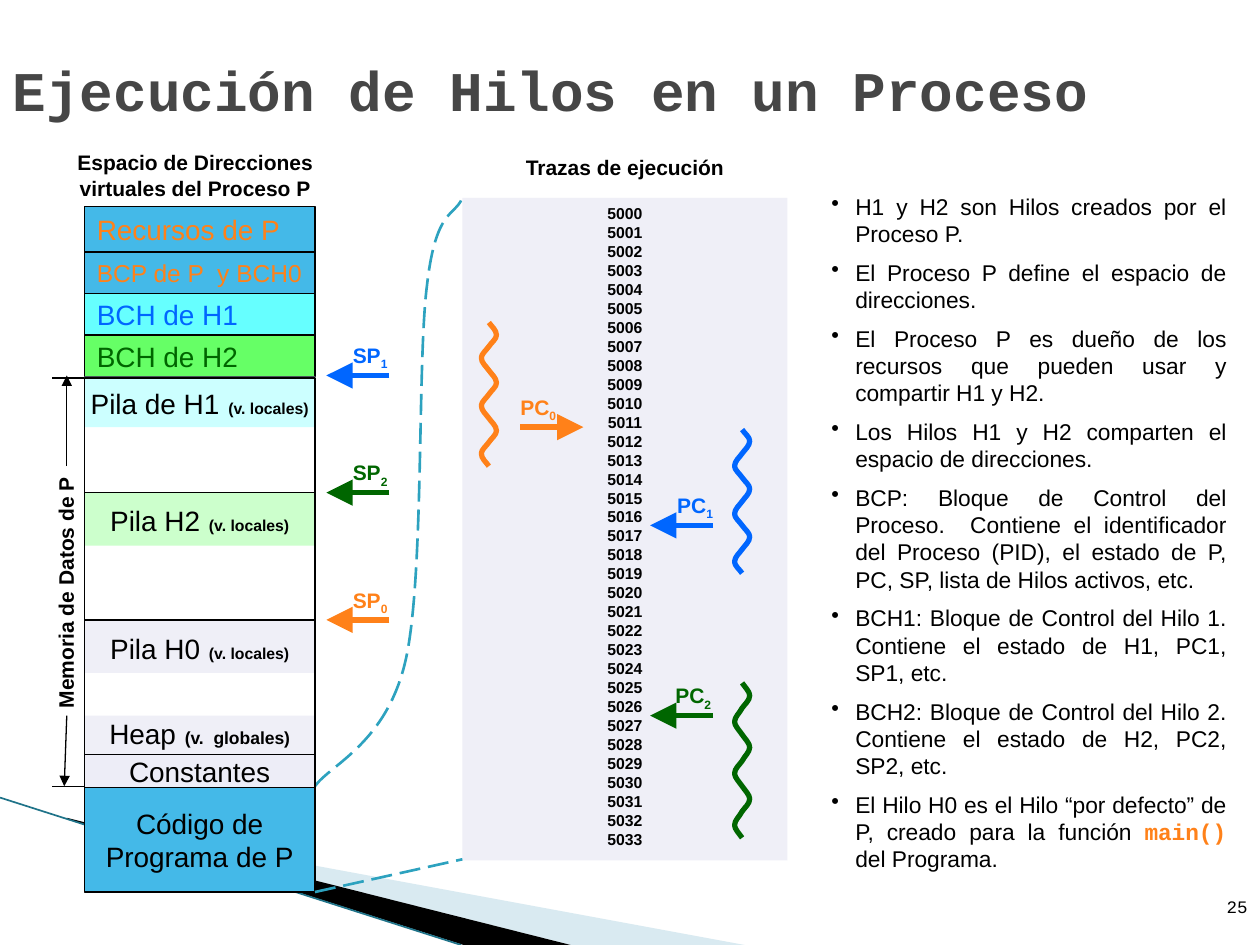
from lxml import etree
from pptx import Presentation
from pptx import util as u
from pptx.dml.color import RGBColor
from pptx.enum import dml, shapes, text
from pptx.oxml.ns import qn

PX = 9144
COLORS = {
    "black": "000000", "title": "464646", "teal": "2DA2BF", "edge": "1F7389",
    "mist": "A0CBDC", "sky": "44B9E8", "lilac": "EFEFF7", "pale": "EDEDF7",
    "orange": "FF8119", "blue": "0066FF", "green": "006600", "cyan": "66FFFF",
    "lime": "66FF66", "light_cyan": "CCFFFF", "light_green": "CCFFCC",
}
ALIGN = {
    "left": text.PP_ALIGN.LEFT, "center": text.PP_ALIGN.CENTER,
    "right": text.PP_ALIGN.RIGHT, "justify": text.PP_ALIGN.JUSTIFY,
}
ANCHOR = {
    "top": text.MSO_ANCHOR.TOP, "middle": text.MSO_ANCHOR.MIDDLE,
    "bottom": text.MSO_ANCHOR.BOTTOM,
}
STACK_LEFT, STACK_WIDTH = 67, 183
STACK_RIGHT = STACK_LEFT + STACK_WIDTH
TRACE_LEFT, TRACE_TOP, TRACE_WIDTH, TRACE_HEIGHT = 367, 157, 258, 526


def write(box, paras, size=12, font="Arial", color="black", bold=False, align="left",
          anchor="top", wrap=True, margins=(10, 5, 10, 5), before=0, bullet=None):
    frame = box.text_frame
    frame.word_wrap = wrap
    frame.vertical_anchor = ANCHOR[anchor]
    (frame.margin_left, frame.margin_top,
     frame.margin_right, frame.margin_bottom) = (value * PX for value in margins)
    for index, spans in enumerate(paras):
        para = frame.add_paragraph() if index else frame.paragraphs[0]
        para.alignment = ALIGN[align]
        para.space_before = u.Pt(before if index else 0)
        if bullet:
            props = para._p.get_or_add_pPr()
            props.set("marL", str(19 * PX))
            props.set("indent", str(-19 * PX))
            etree.SubElement(props, qn("a:buChar")).set("char", bullet)
        for item in [spans] if isinstance(spans, str) else spans:
            words, change = (item, {}) if isinstance(item, str) else item
            span = para.add_run()
            span.text = words
            span.font.size = u.Pt(change.get("size", size))
            span.font.name = change.get("font", font)
            span.font.bold = change.get("bold", bold)
            span.font.color.rgb = RGBColor.from_string(COLORS[change.get("color", color)])
            if "baseline" in change:
                span._r.get_or_add_rPr().set("baseline", str(change["baseline"]))


class Painter:
    def __init__(self, deck):
        self.page = deck.slides.add_slide(deck.slide_layouts[5])

    def title(self, words, left, top, width, height, **style):
        box = self.page.shapes.title
        box.left, box.top, box.width, box.height = (v * PX for v in (left, top, width, height))
        write(box, [words], **style)

    def label(self, paras, left, top, width, height, group=None, rotation=0, **style):
        parent = (group or self.page).shapes
        box = parent.add_textbox(left * PX, top * PX, width * PX, height * PX)
        box.rotation = rotation
        write(box, paras, **style)

    def block(self, left, top, width, height, fill=None, line=None, paras=(), **style):
        box = self.page.shapes.add_shape(shapes.MSO_SHAPE.RECTANGLE,
                                         left * PX, top * PX, width * PX, height * PX)
        self.paint(box, fill, line, 0.75)
        write(box, paras, **style)

    def paint(self, shape, fill, line, weight):
        shape.shadow.inherit = False
        if fill:
            shape.fill.solid()
            shape.fill.fore_color.rgb = RGBColor.from_string(COLORS[fill])
        else:
            shape.fill.background()
        if line:
            shape.line.color.rgb = RGBColor.from_string(COLORS[line])
            shape.line.width = u.Pt(weight)
        else:
            shape.line.fill.background()

    def outline(self, points, fill=None, line=None, weight=1.5, dashed=False, alpha=None,
                curved=False, frame=None):
        builder = self.page.shapes.build_freeform(*points[0], scale=PX)
        builder.add_line_segments(points[1:], close=bool(fill))
        shape = builder.convert_to_shape()
        self.paint(shape, fill, line, weight)
        route = shape._element.spPr.find(".//" + qn("a:path"))
        if curved:
            segments = route.findall(qn("a:lnTo"))
            for start in range(0, len(segments), 3):
                curve = etree.SubElement(route, qn("a:cubicBezTo"))
                for segment in segments[start:start + 3]:
                    curve.append(segment[0])
                    route.remove(segment)
        if frame:
            left, top, width, height = frame
            for corner, (x, y) in zip(route.iter(qn("a:pt")), points):
                corner.set("x", str(x - left))
                corner.set("y", str(y - top))
            route.set("w", str(width))
            route.set("h", str(height))
            shape.left, shape.top, shape.width, shape.height = (v * PX for v in frame)
        if dashed:
            shape.line.dash_style = dml.MSO_LINE.LONG_DASH
        if alpha:
            tint = shape._element.spPr.find(".//" + qn("a:srgbClr"))
            etree.SubElement(tint, qn("a:alpha")).set("val", str(alpha * 1000))

    def line(self, x1, y1, x2, y2, color="black", weight=0.75, arrow=None, group=None):
        parent = (group or self.page).shapes
        link = parent.add_connector(shapes.MSO_CONNECTOR.STRAIGHT,
                                    x1 * PX, y1 * PX, x2 * PX, y2 * PX)
        link.line.color.rgb = RGBColor.from_string(COLORS[color])
        link.line.width = u.Pt(weight)
        if arrow:
            head = etree.SubElement(link.line._get_or_add_ln(), qn("a:tailEnd"))
            for key, value in (("type", "triangle"), ("w", arrow), ("len", arrow)):
                head.set(key, value)
        etree.SubElement(link._element.spPr, qn("a:effectLst"))

    def pointer(self, name, number, color, start, end, y, label_left, align="left"):
        group = self.page.shapes.add_group_shape()
        self.line(start, y, end, y, color, 3, "lg", group)
        self.label([[name, (number, {"baseline": -25000})]], label_left, y - 26, 30, 20, group,
                   color=color, bold=True, align=align, margins=(0, 0, 0, 0), wrap=False)

    def thread(self, center, top, height, color):
        step = height / 12
        points = [(center, top)]
        for quarter in range(12):
            side = 1 if quarter % 4 < 2 else -1
            bends = (6, 6, 2, 0) if quarter % 2 else (0, 2, 6, 6)
            points += [(center + side * bends[i], round(top + step * (quarter + i / 3)))
                       for i in (1, 2, 3)]
        self.outline(points, line=color, weight=3, curved=True)


def main():
    deck = Presentation()
    deck.slide_width, deck.slide_height = 1000 * PX, 750 * PX
    art = Painter(deck)

    art.outline([(55, 651), (591, 750), (453, 750), (55, 650)], fill="mist", alpha=40,
                frame=(78, 547, 416, 158))
    art.outline([(53, 649), (453, 750), (368, 750), (54, 650)], fill="black")
    art.line(0, 633, 366, 750, "edge", 0.95)
    art.outline([(250, 624), (262, 607), (307, 590), (322, 524), (337, 458),
                 (331, 287), (339, 226), (346, 165), (361, 172), (367, 157)],
                line="teal", dashed=True, curved=True)
    art.label(["25"], 767, 683, 233, 50, size=10, font="Courier New", align="right", anchor="bottom")
    art.title("Ejecución de Hilos en un Proceso", 0, 33, 925, 75, size=32,
              font="Courier New", color="title", bold=True, anchor="middle")
    art.label(["Espacio de Direcciones virtuales del Proceso P"], 51, 114, 208, 50,
              bold=True, align="center", anchor="middle")

    for words, top, height, fill, color, size in [
        ("Recursos de P", 164, 36, "sky", "orange", 16),
        ("BCP de P  y BCH0", 200, 33, "sky", "orange", 14),
        ("BCH de H1", 233, 33, "cyan", "blue", 16),
        ("BCH de H2", 266, 33, "lime", "green", 16),
    ]:
        art.block(STACK_LEFT, top, STACK_WIDTH, height, fill, "black", [words],
                  size=size, color=color, anchor="middle", margins=(10, 5, 0, 5))

    art.block(STACK_LEFT, 575, STACK_WIDTH, 25, "lilac")
    for words, note, top, height, fill, note_size in [
        ("Pila de H1", "(v. locales)", 299, 40, "light_cyan", 9),
        ("Pila H2", "(v. locales)", 391, 42, "light_green", 9),
        ("Pila H0", "(v. locales)", 492, 42, "lilac", 9),
        ("Heap", "(v.  globales)", 568, 26, "lilac", 10),
    ]:
        spans = [words, (" ", {"size": 18}), (note, {"size": note_size, "bold": True})]
        art.block(STACK_LEFT, top, STACK_WIDTH, height, fill, None, [spans],
                  size=16, align="center", anchor="middle", wrap=False)
    for paras, top, height, fill in [
        (["Constantes"], 599, 26, "pale"),
        (["Código de", "Programa de P"], 625, 83, "sky"),
    ]:
        art.block(STACK_LEFT, top, STACK_WIDTH, height, fill, "black", paras,
                  size=16, align="center", anchor="middle", wrap=False)
    for y in (391, 492):
        art.line(STACK_LEFT, y, STACK_RIGHT, y)
    art.block(STACK_LEFT, 300, STACK_WIDTH, 325, line="black")

    art.label(["Memoria de Datos de P"], -47, 453, 198, 20, rotation=270,
              bold=True, margins=(0, 0, 0, 0))
    art.line(53, 370, 53, 298, arrow="med")
    art.line(53, 568, 51, 624, arrow="med")
    for y in (300, 624):
        art.line(STACK_LEFT, y, 41, y)

    art.block(TRACE_LEFT, TRACE_TOP, TRACE_WIDTH, TRACE_HEIGHT, "lilac", None,
              [str(address) for address in range(5000, 5034)],
              size=9, bold=True, align="center", wrap=False)
    art.outline([(STACK_RIGHT, 708), (TRACE_LEFT, 682)], line="teal", dashed=True)

    for number, color, y in [("1", "blue", 298), ("2", "green", 391), ("0", "orange", 492)]:
        art.pointer("SP", number, color, 309, 259, y, 280)
    art.pointer("PC", "0", "orange", 413, 463, 339, 413)
    art.pointer("PC", "1", "blue", 566, 516, 417, 536, "right")
    art.pointer("PC", "2", "green", 566, 516, 568, 536)

    for center, top, height, color in [
        (388, 256, 114, "orange"), (589, 341, 114, "blue"), (589, 542, 123, "green"),
    ]:
        art.thread(center, top, height, color)

    art.label([
        "H1 y H2 son Hilos creados por el Proceso P.",
        "El Proceso P define el espacio de direcciones.",
        "El Proceso P es dueño de los recursos que pueden usar y compartir H1 y H2.",
        "Los Hilos H1 y H2 comparten el espacio de direcciones.",
        "BCP: Bloque de Control del Proceso.  Contiene el identificador del Proceso (PID), "
        "el estado de P, PC, SP, lista de Hilos activos, etc.",
        "BCH1: Bloque de Control del Hilo 1. Contiene el estado de H1, PC1, SP1, etc.",
        "BCH2: Bloque de Control del Hilo 2. Contiene el estado de H2, PC2, SP2, etc.",
        ["El Hilo H0 es el Hilo “por defecto” de P, creado para la función ",
         ("main()", {"font": "Courier New", "color": "orange", "bold": True}), " del Programa."],
    ], 650, 148, 333, 568, size=13, align="justify", before=6.4, bullet="•")
    art.label(["Trazas de ejecución"], TRACE_LEFT, 118, TRACE_WIDTH, 30,
              bold=True, align="center", anchor="middle")

    deck.save("out.pptx")


if __name__ == "__main__":
    main()
